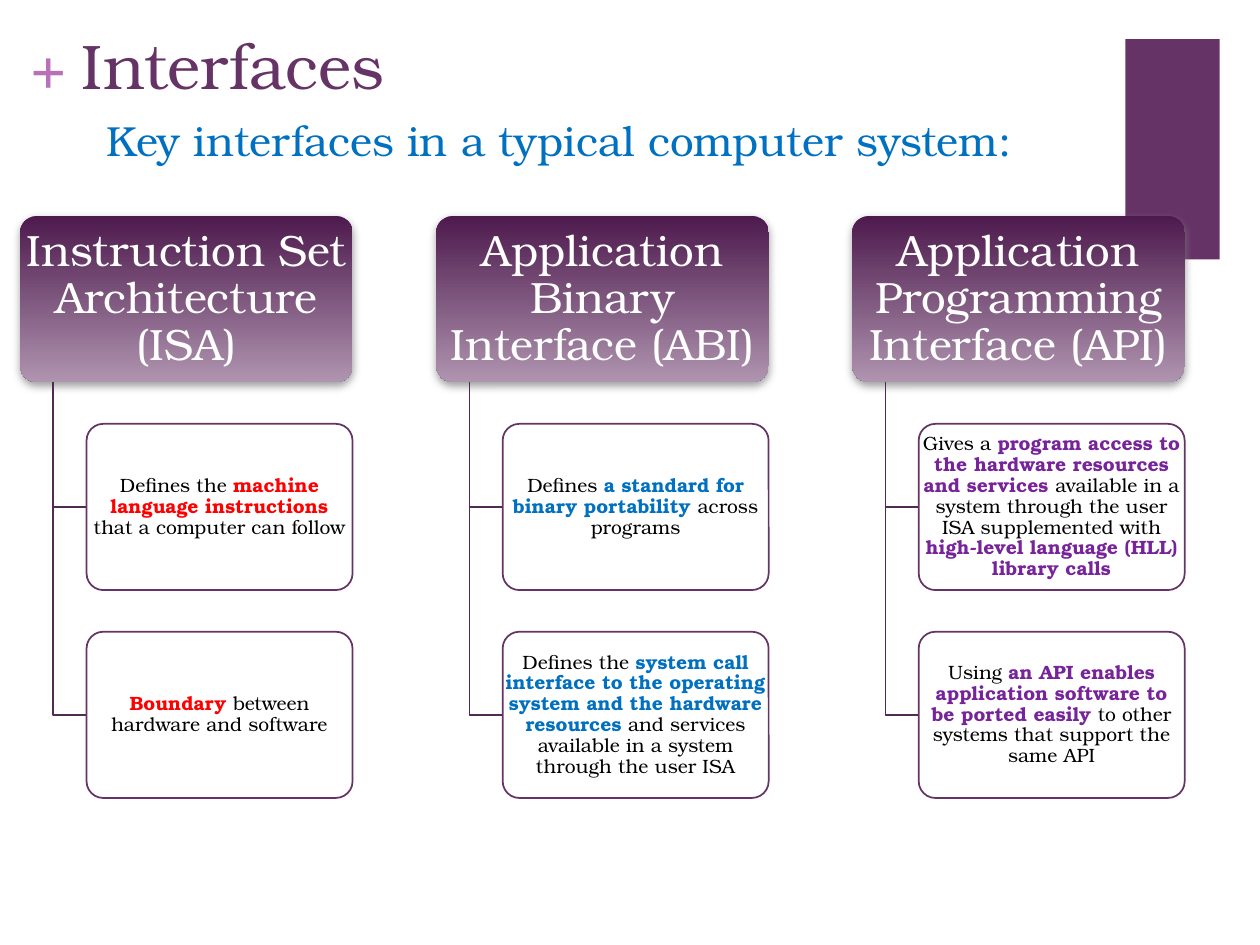
from dataclasses import dataclass
from typing import NamedTuple

from lxml import etree
from pptx import Presentation
from pptx.dml.color import RGBColor
from pptx.enum.shapes import MSO_SHAPE as Shape
from pptx.enum.text import MSO_ANCHOR as Anchor, PP_ALIGN as Align
from pptx.oxml.ns import qn
from pptx.util import Pt


@dataclass(frozen=True)
class Theme:
    font: str = "TeX Gyre Bonum"
    plus_font: str = "Times New Roman"
    purple: str = "663366"
    plus: str = "B870B8"
    dark: str = "4D1A4D"
    light: str = "AF94AF"
    branch: str = "522952"
    shadow: str = "808080"
    white: str = "FFFFFF"
    black: str = "000000"
    red: str = "FF0000"
    blue: str = "0070C0"
    violet: str = "772399"
    title_size: float = 36
    subtitle_size: float = 24
    head_size: float = 25
    body_size: float = 11


T = Theme()


class Box(NamedTuple):
    """Left, top, width and height in points."""
    x: float
    y: float
    w: float
    h: float

    def emu(self) -> list:
        return [Pt(v) for v in self]


class Run(NamedTuple):
    text: str
    color: str
    bold: bool = False


class Column(NamedTuple):
    head: str
    accent: str
    details: list  # each detail alternates plain and *accented* pieces


LEFT, TOP = 11.5, 123.4
COL_STEP, ROW_STEP = 237.75, 118.8
HEAD_W, BOX_W, CARD_H = 190.1, 152, 95
BRANCH_DX, BOX_DX = 19, 38

COLUMNS = [
    Column("Instruction Set Architecture (ISA)", T.red, [
        "Defines the *machine language instructions* that a computer can follow",
        "*Boundary *between hardware and software",
    ]),
    Column("Application Binary Interface (ABI)", T.blue, [
        "Defines *a standard for binary portability *across programs",
        "Defines the *system call interface to the operating system and the "
        "hardware resources* and services available in a system through the user ISA",
    ]),
    Column("Application Programming Interface (API)", T.violet, [
        "Gives a *program access to the hardware resources and services *available "
        "in a system through the user ISA supplemented with "
        "*high-level language (HLL) library calls*",
        "Using *an API enables application software to be ported easily *to other "
        "systems that support the same API",
    ]),
]


def rgb(color: str) -> RGBColor:
    return RGBColor.from_string(color)


def split_runs(marked: str, accent: str) -> list[Run]:
    """Turn text with *accented* pieces into runs."""
    return [Run(piece, accent if i % 2 else T.black, bool(i % 2))
            for i, piece in enumerate(marked.split("*")) if piece]


def add_text(s, box: Box, runs: list[Run], size: float, font: str = T.font,
             insets: tuple = (7.2, 3.6), wrap: bool = True,
             anchor=Anchor.TOP, **para) -> None:
    tf = s.shapes.add_textbox(*box.emu()).text_frame
    dx, dy = (Pt(v) for v in insets)
    frame = {"word_wrap": wrap, "vertical_anchor": anchor, "margin_left": dx,
             "margin_right": dx, "margin_top": dy, "margin_bottom": dy}
    for name, value in frame.items():
        setattr(tf, name, value)
    p = tf.paragraphs[0]
    for name, value in para.items():
        setattr(p, name, value)
    for run in runs:
        r = p.add_run()
        r.text = run.text
        for name, value in {"name": font, "size": Pt(size), "bold": run.bold}.items():
            setattr(r.font, name, value)
        r.font.color.rgb = rgb(run.color)


def add_label(s, box: Box, runs: list[Run], size: float, insets: tuple) -> None:
    """Centred text over the full width of a card."""
    add_text(s, box, runs, size, insets=insets, anchor=Anchor.MIDDLE,
             alignment=Align.CENTER, line_spacing=0.9)


def add_card(s, box: Box):
    sp = s.shapes.add_shape(Shape.ROUNDED_RECTANGLE, *box.emu())
    sp.adjustments[0] = 0.1
    sp.shadow.inherit = False
    return sp


def add_alpha(color_element, percent: int) -> None:
    etree.SubElement(color_element, qn("a:alpha"), val=str(percent * 1000))


def add_drop_shadow(sp) -> None:
    effects = sp._element.spPr.find(qn("a:effectLst"))
    shadow = etree.SubElement(effects, qn("a:outerShdw"), blurRad=str(Pt(5)),
                              dist=str(Pt(2)), dir="5400000", rotWithShape="0")
    add_alpha(etree.SubElement(shadow, qn("a:srgbClr"), val=T.shadow), 75)


def add_head(s, box: Box, text: str) -> None:
    sp = add_card(s, box)
    sp.fill.gradient()
    sp.fill.gradient_angle = 270
    for stop, position, color in zip(sp.fill.gradient_stops, (0, 1), (T.dark, T.light)):
        stop.position = position
        stop.color.rgb = rgb(color)
    sp.line.fill.background()
    add_drop_shadow(sp)
    add_label(s, box, [Run(text, T.white)], T.head_size, (3.6, 2.2))


def add_branch(s, x: float, y: float, end_x: float, end_y: float) -> None:
    """Line down from a head and across to a detail box."""
    builder = s.shapes.build_freeform(Pt(x), Pt(y))
    builder.add_line_segments([(Pt(x), Pt(end_y)), (Pt(end_x), Pt(end_y))], close=False)
    sp = builder.convert_to_shape()
    sp.shadow.inherit = False
    sp.fill.background()
    sp.line.color.rgb = rgb(T.branch)
    sp.line.width = Pt(1)


def add_detail(s, box: Box, runs: list[Run]) -> None:
    sp = add_card(s, box)
    sp.fill.solid()
    sp.fill.fore_color.rgb = rgb(T.white)
    add_alpha(sp._element.spPr.find(f"{qn('a:solidFill')}/{qn('a:srgbClr')}"), 90)
    sp.line.color.rgb = rgb(T.purple)
    sp.line.width = Pt(1)
    add_label(s, box, runs, T.body_size, (1.4, 1.4))


def add_column(s, x: float, column: Column) -> None:
    add_head(s, Box(x, TOP, HEAD_W, CARD_H), column.head)
    for row, detail in enumerate(column.details, start=1):
        box = Box(x + BOX_DX, TOP + row * ROW_STEP, BOX_W, CARD_H)
        add_branch(s, x + BRANCH_DX, TOP + CARD_H, box.x, box.y + CARD_H / 2)
        add_detail(s, box, split_runs(detail, column.accent))


def main() -> None:
    prs = Presentation()
    prs.slide_width, prs.slide_height = Pt(720), Pt(540)
    s = prs.slides.add_slide(prs.slide_layouts[6])

    band = s.shapes.add_shape(Shape.RECTANGLE, *Box(643, 22.3, 54, 126).emu())
    band.shadow.inherit = False
    band.fill.solid()
    band.fill.fore_color.rgb = rgb(T.purple)
    band.line.fill.background()

    add_text(s, Box(17.3, 18, 21, 44), [Run("+", T.plus, True)], T.title_size,
             font=T.plus_font, insets=(0, 0), wrap=False)
    add_text(s, Box(39.6, 10.8, 594.7, 51.1), [Run("Interfaces", T.purple)],
             T.title_size, anchor=Anchor.BOTTOM)
    for i, column in enumerate(COLUMNS):
        add_column(s, LEFT + i * COL_STEP, column)
    add_text(s, Box(54, 62, 595.4, 61.2),
             [Run("Key interfaces in a typical computer system:", T.blue)],
             T.subtitle_size)
    prs.save("out.pptx")


if __name__ == "__main__":
    main()
